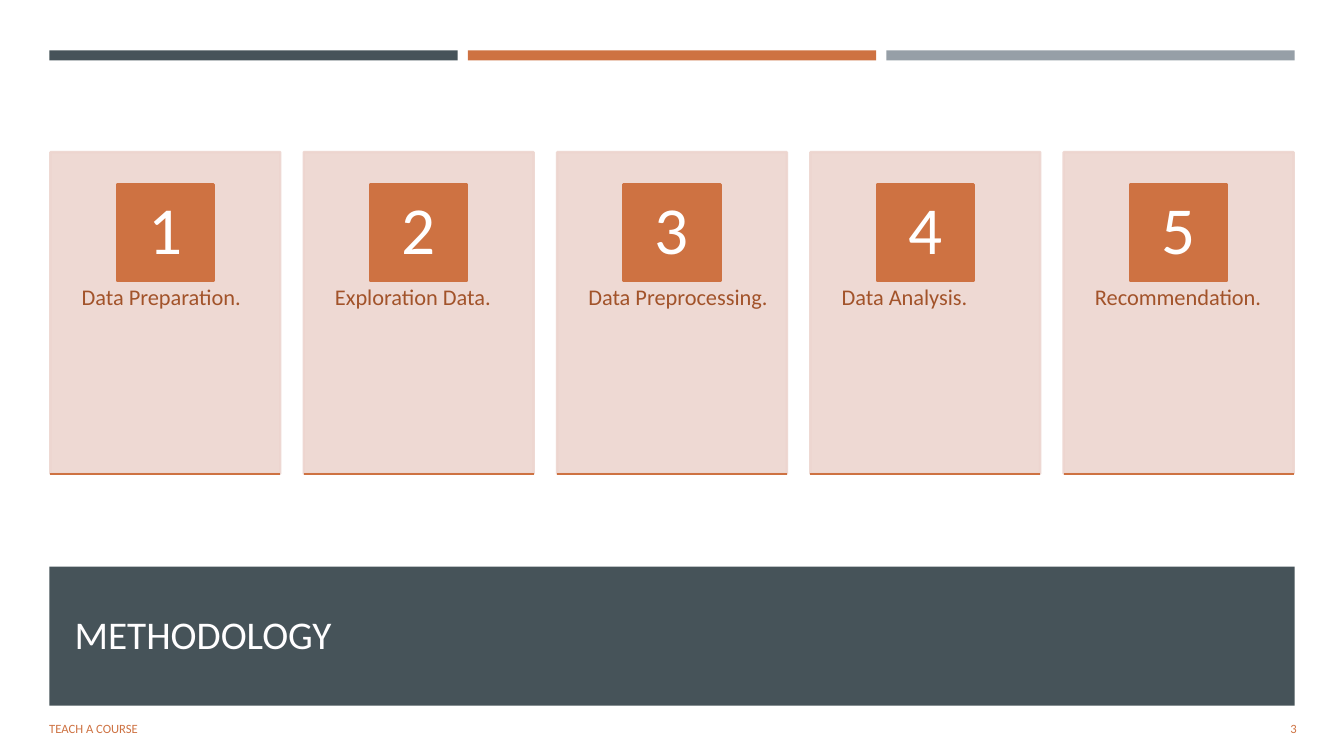
from dataclasses import dataclass

from lxml import etree
from pptx import Presentation
from pptx.dml.color import RGBColor
from pptx.enum.shapes import MSO_CONNECTOR, MSO_SHAPE
from pptx.enum.text import MSO_ANCHOR, PP_ALIGN
from pptx.oxml.ns import qn
from pptx.util import Inches, Pt


@dataclass(frozen=True)
class Theme:
    font: str = "Calibri"
    slate: str = "465359"
    orange: str = "CE7242"
    gray: str = "969FA7"
    card: str = "EDD5CF"
    rust: str = "A2532A"
    white: str = "FFFFFF"
    title_color: str = "FFFEFF"
    title_size: int = 28
    number_size: int = 48
    label_size: int = 16
    footer_size: int = 9
    line_width: float = 1.75
    card_opacity: int = 90


THEME = Theme()
STEPS = ["Data Preparation.", "Exploration Data.", "Data Preprocessing.",
         "Data Analysis.", "Recommendation."]


def color(value):
    return RGBColor.from_string(value)


def inches(box):
    return [Inches(length) for length in box]


def add_block(page, box, fill, outlined=False):
    block = page.shapes.add_shape(MSO_SHAPE.RECTANGLE, *inches(box))
    block.shadow.inherit = False
    block.fill.solid()
    block.fill.fore_color.rgb = color(fill)
    if outlined:
        block.line.color.rgb = color(fill)
        block.line.width = Pt(THEME.line_width)
    else:
        block.line.fill.background()
    return block


def set_opacity(shape, percent):
    for fill_color in shape.element.spPr.iter(qn("a:srgbClr")):
        etree.SubElement(fill_color, qn("a:alpha"), val=str(percent * 1000))


def write(shape, text, size, text_color, align=PP_ALIGN.LEFT,
          anchor=MSO_ANCHOR.MIDDLE, insets=(0.1, 0.05, 0.1, 0.05), spacing=1.0):
    frame = shape.text_frame
    frame.text = text
    frame.word_wrap = True
    frame.vertical_anchor = anchor
    (frame.margin_left, frame.margin_top,
     frame.margin_right, frame.margin_bottom) = inches(insets)
    para = frame.paragraphs[0]
    para.alignment = align
    para.line_spacing = spacing
    font = para.runs[0].font
    font.name = THEME.font
    font.size = Pt(size)
    font.color.rgb = color(text_color)


def add_top_bars(page, box):
    left, top, width, height = box
    gap = 0.1
    fills = [THEME.slate, THEME.orange, THEME.gray]
    bar_width = (width - gap * (len(fills) - 1)) / len(fills)
    for index, fill in enumerate(fills):
        add_block(page, (left + index * (bar_width + gap), top, bar_width, height), fill)


def add_card(page, box, number, label):
    left, top, width, height = box
    panel = add_block(page, box, THEME.card, outlined=True)
    set_opacity(panel, THEME.card_opacity)

    label_box = page.shapes.add_textbox(*inches((left, top + 1.21, width, 1.92)))
    write(label_box, label, THEME.label_size, THEME.rust, anchor=MSO_ANCHOR.TOP,
          insets=(0.31, 0.36, 0.15, 0.36), spacing=0.9)

    side = 0.96
    badge = add_block(page, (left + (width - side) / 2, top + 0.32, side, side),
                      THEME.orange, outlined=True)
    write(badge, str(number), THEME.number_size, THEME.white, PP_ALIGN.CENTER,
          insets=(0.07, 0.01, 0.07, 0.01), spacing=0.9)

    bottom = top + height
    rule = page.shapes.add_connector(
        MSO_CONNECTOR.STRAIGHT, *inches((left, bottom, left + width, bottom)))
    rule.line.color.rgb = color(THEME.orange)
    rule.line.width = Pt(THEME.line_width)
    etree.SubElement(rule.element.spPr, qn("a:effectLst"))


def add_cards(page, box):
    left, top, width, height = box
    card_width = 2.28
    pitch = (width - card_width) / (len(STEPS) - 1)
    for index, label in enumerate(STEPS):
        add_card(page, (left + index * pitch, top, card_width, height), index + 1, label)


def add_title_band(page, box):
    left, top, width, height = box
    add_block(page, box, THEME.slate)
    title = page.shapes.title
    page.shapes.element.append(title.element)
    title.left, title.top, title.width, title.height = inches(
        (left + 0.15, top + 0.14, width - 0.29, 1.05))
    write(title, "METHODOLOGY", THEME.title_size, THEME.title_color)


def add_footer(page, box):
    left, top, width, height = box
    number_width = 1.15
    footer = page.shapes.add_textbox(*inches((left, top, 7.56, height)))
    write(footer, "TEACH A COURSE", THEME.footer_size, THEME.orange)
    number = page.shapes.add_textbox(
        *inches((left + width - number_width, top, number_width, height)))
    write(number, "3", THEME.footer_size, THEME.orange, PP_ALIGN.RIGHT)


def main():
    deck = Presentation()
    deck.slide_width = Inches(13.33)
    deck.slide_height = Inches(7.5)
    page = deck.slides.add_slide(deck.slide_layouts.get_by_name("Title Only"))
    page.background.fill.solid()
    page.background.fill.fore_color.rgb = color(THEME.white)
    add_title_band(page, (0.49, 5.62, 12.35, 1.38))
    add_top_bars(page, (0.49, 0.5, 12.35, 0.1))
    add_footer(page, (0.39, 7.03, 12.57, 0.4))
    add_cards(page, (0.5, 1.51, 12.33, 3.19))
    deck.save("out.pptx")


if __name__ == "__main__":
    main()
